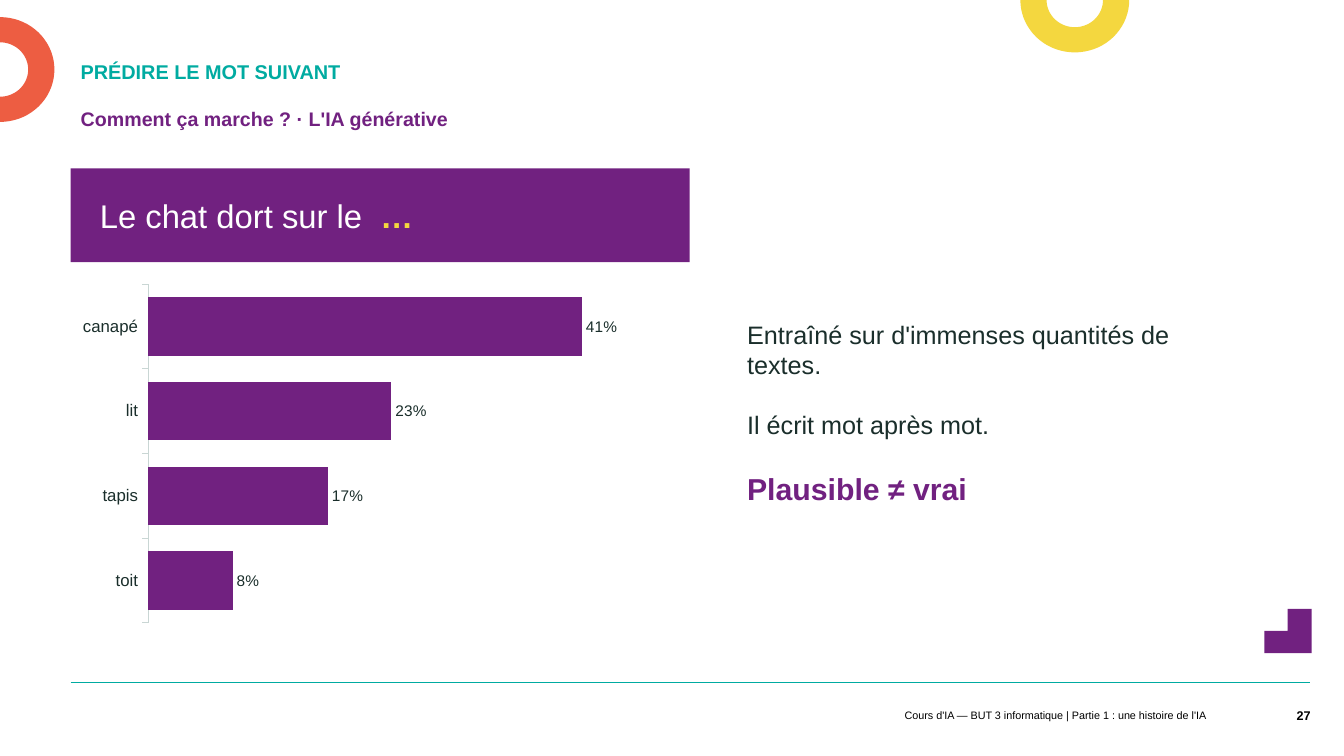
"""Build the slide on predicting the next word."""
from dataclasses import dataclass
from math import cos, radians, sin

from lxml import etree
from pptx import Presentation
from pptx import util as u
from pptx.chart.data import CategoryChartData
from pptx.dml.color import RGBColor
from pptx.enum import chart as charts, shapes, text
from pptx.oxml.ns import qn


@dataclass(frozen=True)
class Theme:
    font: str = "Arial"
    purple: str = "712180"
    teal: str = "00ABA1"
    yellow: str = "F4D73F"
    orange: str = "ED5D42"
    ink: str = "1A2E2B"
    grey: str = "C9D6D4"
    white: str = "FFFFFF"
    black: str = "000000"
    title: float = 14.2
    subtitle: float = 14
    quote: float = 23.4
    body: float = 18
    key: float = 21.6
    category: float = 12
    label: float = 11
    footer: float = 7.7
    number: float = 9


def apply(target, values):
    for name, value in values.items():
        setattr(target, name, value)


class SlideBuilder:
    def __init__(self, deck, theme):
        self.theme = theme
        self.page = deck.slides.add_slide(deck.slide_layouts[1])

    def style(self, font, size, color, bold=False):
        apply(font, {"name": self.theme.font, "size": u.Pt(size), "bold": bold})
        font.color.rgb = RGBColor.from_string(color)

    def paint(self, shape, color):
        shape.shadow.inherit = False
        shape.fill.solid()
        shape.fill.fore_color.rgb = RGBColor.from_string(color)
        shape.line.fill.background()

    def fill_text(self, box, paragraphs, frame, align=text.PP_ALIGN.LEFT, gap=0, leading=None):
        apply(box.text_frame, {"word_wrap": True, "auto_size": text.MSO_AUTO_SIZE.NONE, **frame})
        for index, spans in enumerate(paragraphs):
            para = box.text_frame.paragraphs[0] if index == 0 else box.text_frame.add_paragraph()
            apply(para, {"alignment": align, "line_spacing": leading,
                         "space_before": u.Pt(gap if index else 0)})
            for words, *look in spans:
                span = para.add_run()
                span.text = words
                self.style(span.font, *look)

    def placeholder(self, index, area, span, anchor, leading):
        box = self.page.placeholders[index]
        apply(box, dict(zip(("left", "top", "width", "height"), map(u.Inches, area))))
        self.fill_text(box, [[span]], {"vertical_anchor": anchor}, leading=leading)
        properties = box.text_frame.paragraphs[0]._p.get_or_add_pPr()
        for name in ("marL", "indent"):
            properties.set(name, "0")
        etree.SubElement(properties, qn("a:buNone"))

    def text_box(self, area, paragraphs, margins=(0, 0, 0, 0), **options):
        box = self.page.shapes.add_textbox(*map(u.Inches, area))
        sides = ("margin_left", "margin_top", "margin_right", "margin_bottom")
        frame = dict(zip(sides, map(u.Inches, margins)))
        frame["vertical_anchor"] = text.MSO_ANCHOR.MIDDLE
        self.fill_text(box, paragraphs, frame, **options)

    def rectangle(self, area, color):
        shape = self.page.shapes.add_shape(shapes.MSO_SHAPE.RECTANGLE, *map(u.Inches, area))
        self.paint(shape, color)

    def polygon(self, points, color):
        start, *rest = [(u.Inches(x), u.Inches(y)) for x, y in points]
        builder = self.page.shapes.build_freeform(*start)
        builder.add_line_segments(rest, close=True)
        self.paint(builder.convert_to_shape(), color)

    def half_ring(self, x, y, outer, inner, first_angle, color):
        angles = [radians(first_angle + step) for step in range(0, 181, 5)]
        edges = [(outer, angles), (inner, angles[::-1])]
        points = [(x + rx * cos(angle), y + ry * sin(angle))
                  for (rx, ry), turn in edges for angle in turn]
        self.polygon(points, color)

    def line(self, start, end, color, width):
        rule = self.page.shapes.add_connector(
            shapes.MSO_CONNECTOR.STRAIGHT, *map(u.Inches, (*start, *end)))
        rule.line.color.rgb = RGBColor.from_string(color)
        rule.line.width = u.Pt(width)
        etree.SubElement(rule._element.spPr, qn("a:effectLst"))

    def bar_chart(self, area, values):
        theme = self.theme
        data = CategoryChartData(number_format="0%")
        data.categories = list(values)
        data.add_series("Series 1", list(values.values()))
        chart = self.page.shapes.add_chart(
            charts.XL_CHART_TYPE.BAR_CLUSTERED, *map(u.Inches, area), data).chart
        apply(chart, {"has_legend": False, "has_title": False})
        self.style(chart.font, theme.label, theme.ink)
        apply(chart.value_axis, {"visible": False, "has_major_gridlines": False,
                                 "minimum_scale": 0, "maximum_scale": 0.5})
        axis = chart.category_axis
        apply(axis, {"reverse_order": True, "major_tick_mark": charts.XL_TICK_MARK.OUTSIDE})
        axis.format.line.color.rgb = RGBColor.from_string(theme.grey)
        axis.format.line.width = u.Pt(0.75)
        self.style(axis.tick_labels.font, theme.category, theme.ink)
        plot = chart.plots[0]
        apply(plot, {"gap_width": 45, "vary_by_categories": False})
        series = plot.series[0]
        series.format.fill.solid()
        series.format.fill.fore_color.rgb = RGBColor.from_string(theme.purple)
        apply(series.data_labels, {"show_value": True, "number_format": "0%",
                                   "number_format_is_linked": False,
                                   "position": charts.XL_LABEL_POSITION.OUTSIDE_END})
        self.style(series.data_labels.font, theme.label, theme.ink)


def main():
    deck = Presentation()
    apply(deck, {"slide_width": u.Inches(13.33), "slide_height": u.Inches(7.5)})
    theme = Theme()
    slide = SlideBuilder(deck, theme)
    outer, inner = (0.54, 0.52), (0.28, 0.27)
    left, width = 0.7, 6.14

    slide.half_ring(10.66, 0, outer, inner, 0, theme.yellow)
    slide.line((left, 6.77), (12.99, 6.77), theme.teal, 0.5)
    slide.half_ring(0, 0.69, outer, inner, -90, theme.orange)
    slide.polygon([(12.77, 6.04), (13.01, 6.04), (13.01, 6.48),
                   (12.54, 6.48), (12.54, 6.26), (12.77, 6.26)], theme.purple)

    slide.placeholder(0, (left, 0.54, 9.72, 0.34),
                      ("PRÉDIRE LE MOT SUIVANT", theme.title, theme.teal, True),
                      text.MSO_ANCHOR.BOTTOM, u.Pt(16.7))
    slide.placeholder(1, (left, 1.04, 9.72, 0.46),
                      ("Comment ça marche ? · L'IA générative", theme.subtitle, theme.purple, True),
                      text.MSO_ANCHOR.TOP, 0.9)

    slide.rectangle((left, 1.67, width, 0.93), theme.purple)
    slide.text_box((0.99, 1.67, 5.75, 0.93),
                   [[("Le chat dort sur le  ", theme.quote, theme.white),
                     ("…", theme.quote, theme.yellow, True)]])
    slide.bar_chart((left, 2.75, width, 3.5),
                    {"canapé": 0.41, "lit": 0.23, "tapis": 0.17, "toit": 0.08})
    slide.text_box((7.41, 1.88, 4.89, 4.43),
                   [[("Entraîné sur d'immenses quantités de textes.", theme.body, theme.ink)],
                    [("Il écrit mot après mot.", theme.body, theme.ink)],
                    [("Plausible ≠ vrai", theme.key, theme.purple, True)]], gap=21.5)

    slide.text_box((5.43, 6.98, 6.63, 0.23),
                   [[("Cours d'IA — BUT 3 informatique | Partie 1 : une histoire de l'IA",
                      theme.footer, theme.black)]],
                   margins=(0.1, 0.05, 0.1, 0.05), align=text.PP_ALIGN.RIGHT)
    slide.text_box((12.45, 6.9, 0.55, 0.4), [[("27", theme.number, theme.black, True)]],
                   margins=(0.1, 0.05, 0, 0.05), align=text.PP_ALIGN.RIGHT)
    deck.save("out.pptx")


if __name__ == "__main__":
    main()
